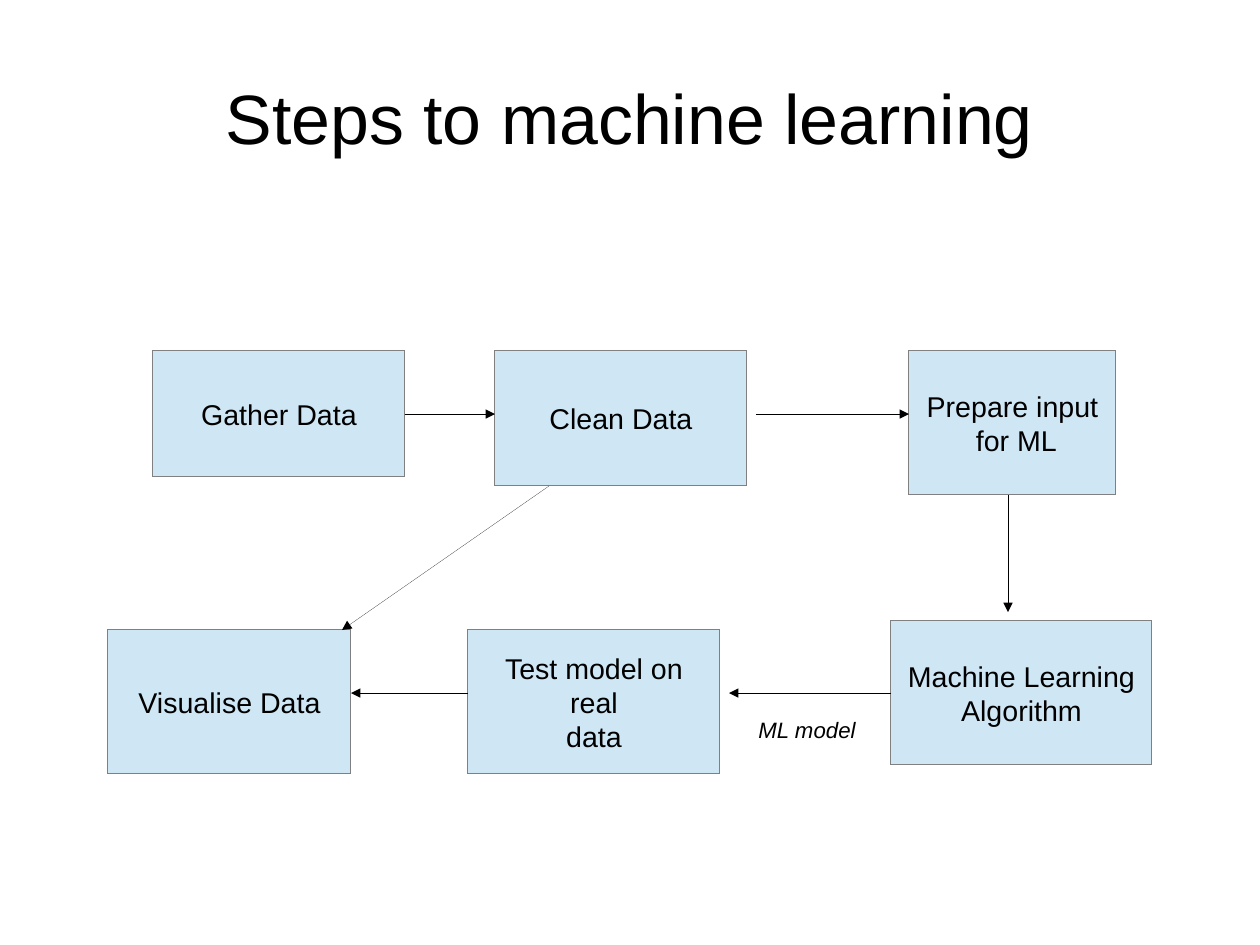
from lxml import etree
from pptx import Presentation
from pptx.dml.color import RGBColor
from pptx.enum.shapes import MSO_CONNECTOR, MSO_SHAPE
from pptx.enum.text import MSO_ANCHOR, PP_ALIGN
from pptx.oxml.ns import qn
from pptx.util import Emu, Pt

RECTANGLE = MSO_SHAPE.RECTANGLE
STRAIGHT = MSO_CONNECTOR.STRAIGHT
MIDDLE = MSO_ANCHOR.MIDDLE
CENTER = PP_ALIGN.CENTER
LEFT = PP_ALIGN.LEFT

EMU_PER_PX = 8000
SLIDE_SIZE = (1260, 945)
TITLE_ONLY = 5
FONT = "Arial"
BLACK, GREY, PALE_BLUE = "000000", "808080", "CFE7F5"

# text, left, top, width, height
STEPS = [
    ("Gather Data", 153, 351, 252, 126),
    ("Clean Data", 495, 351, 252, 135),
    ("Prepare input\n for ML", 909, 351, 207, 144),
    ("Machine Learning\nAlgorithm", 891, 621, 261, 144),
    ("Test model on real\ndata", 468, 630, 252, 144),
    ("Visualise Data", 108, 630, 243, 144),
]

# start x, start y, end x, end y
ARROWS = [
    (405, 414, 495, 414),
    (756, 414, 909, 414),
    (1008, 495, 1008, 612),
    (891, 693, 729, 693),
    (468, 693, 351, 693),
    (549, 486, 342, 630),
]


def px(value):
    return Emu(value * EMU_PER_PX)


def color(hex_string):
    return RGBColor.from_string(hex_string)


def write_text(text_frame, text, size, alignment=CENTER, italic=False):
    text_frame.text = text
    for paragraph in text_frame.paragraphs:
        paragraph.alignment = alignment
        paragraph.font.name = FONT
        paragraph.font.size = Pt(size)
        paragraph.font.italic = italic
        paragraph.font.color.rgb = color(BLACK)


def draw_hairline(shape, hex_string):
    """Set a zero-width line; line.width leaves out a zero, so the theme's width would apply."""
    shape.line.color.rgb = color(hex_string)
    line = shape.element.spPr.find(qn("a:ln"))
    line.set("w", "0")
    return line


def set_title(slide, text, left, top, width, height):
    title = slide.shapes.title
    title.left, title.top = px(left), px(top)
    title.width, title.height = px(width), px(height)
    frame = title.text_frame
    frame.margin_left = frame.margin_right = 0
    frame.margin_top = frame.margin_bottom = 0
    frame.vertical_anchor = MIDDLE
    write_text(frame, text, 44)


def add_step(slide, text, left, top, width, height):
    box = slide.shapes.add_shape(
        RECTANGLE, px(left), px(top), px(width), px(height))
    box.shadow.inherit = False
    box.fill.solid()
    box.fill.fore_color.rgb = color(PALE_BLUE)
    draw_hairline(box, GREY)
    box.text_frame.word_wrap = True
    box.text_frame.vertical_anchor = MIDDLE
    write_text(box.text_frame, text, 18)


def add_arrow(slide, start_x, start_y, end_x, end_y):
    arrow = slide.shapes.add_connector(
        STRAIGHT, px(start_x), px(start_y), px(end_x), px(end_y))
    line = draw_hairline(arrow, BLACK)
    etree.SubElement(line, qn("a:tailEnd"), type="triangle")
    etree.SubElement(arrow.element.spPr, qn("a:effectLst"))


def add_label(slide, text, left, top, width, height):
    label = slide.shapes.add_textbox(
        px(left), px(top), px(width), px(height))
    label.text_frame.word_wrap = False
    write_text(label.text_frame, text, 14, LEFT, italic=True)


def main():
    presentation = Presentation()
    presentation.slide_width, presentation.slide_height = map(px, SLIDE_SIZE)
    slide = presentation.slides.add_slide(
        presentation.slide_layouts[TITLE_ONLY])

    set_title(slide, "Steps to machine learning", 63, 38, 1134, 158)
    for step in STEPS:
        add_step(slide, *step)
    for arrow in ARROWS:
        add_arrow(slide, *arrow)
    add_label(slide, "ML model", 747, 711, 120, 37)

    presentation.save("out.pptx")


if __name__ == "__main__":
    main()
